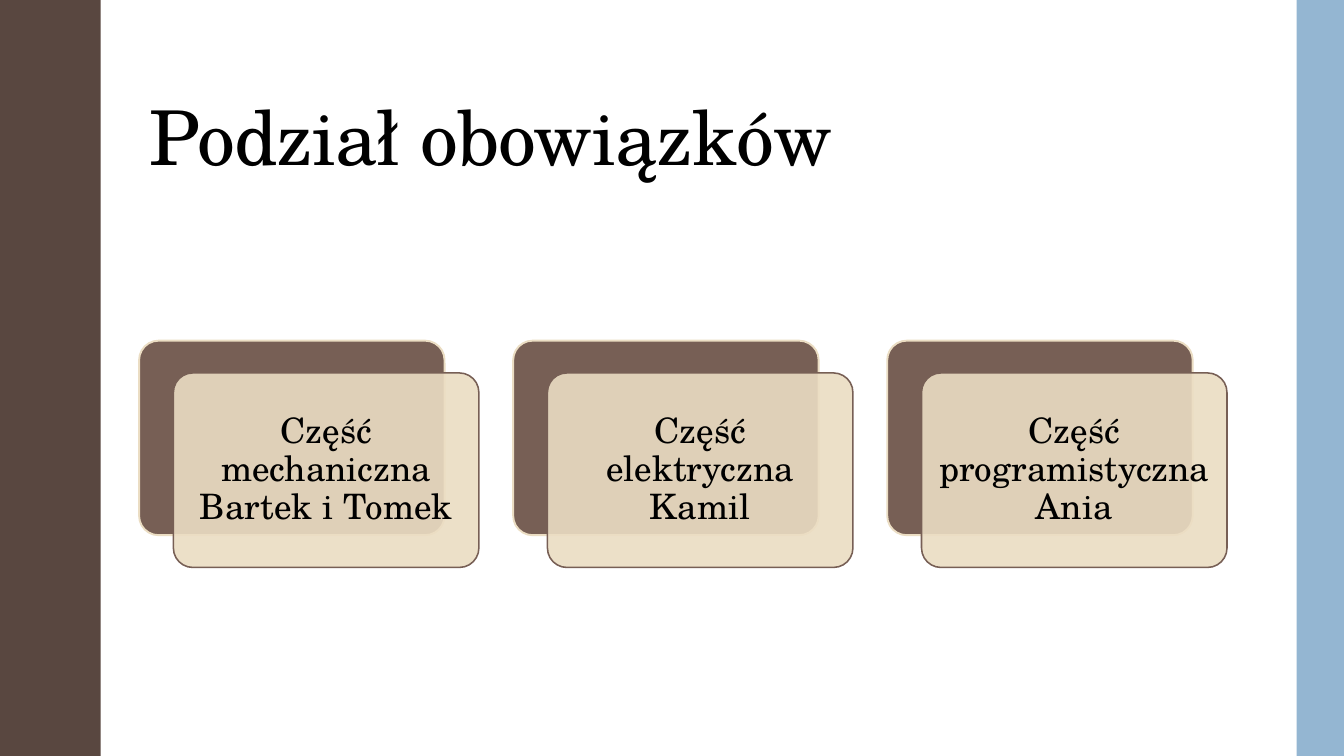
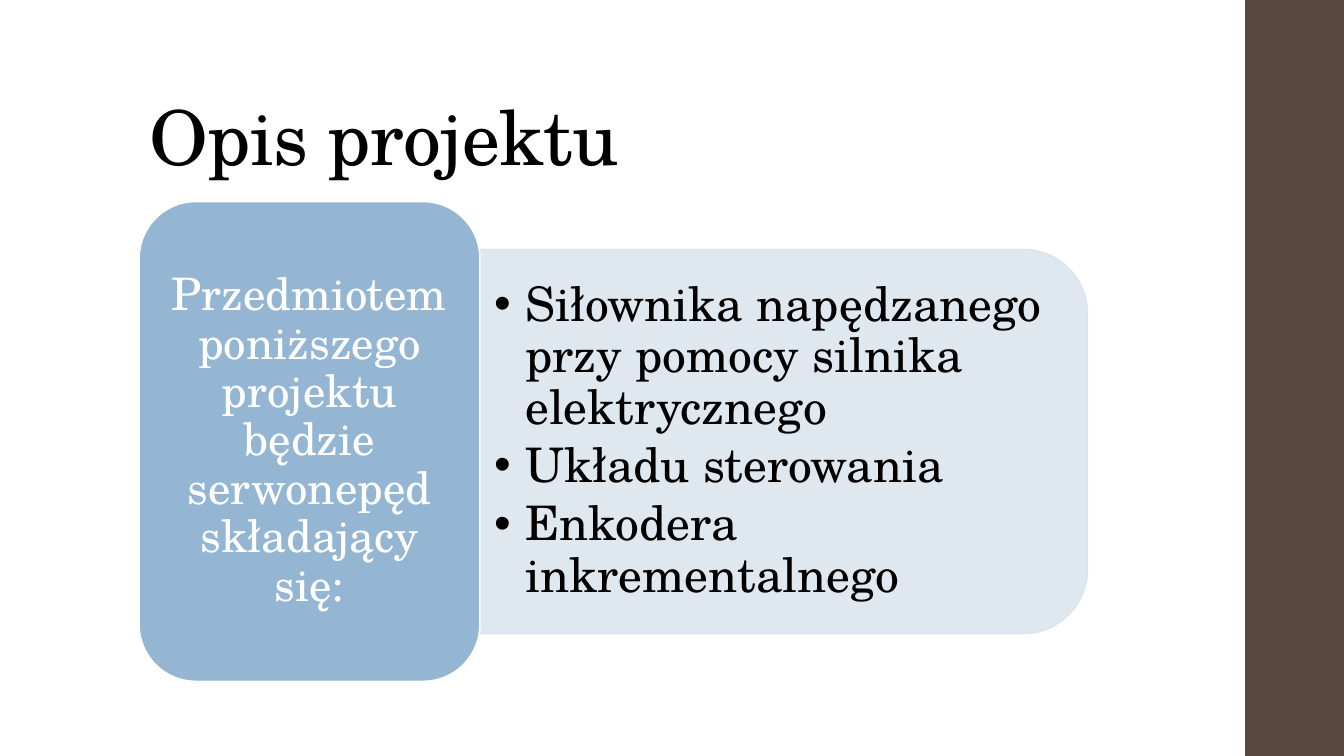
from pptx import Presentation
from pptx.dml.color import RGBColor
from pptx.enum.shapes import MSO_SHAPE as Shape
from pptx.enum.text import MSO_ANCHOR as Anchor, MSO_AUTO_SIZE as AutoSize, PP_ALIGN as Align
from pptx.oxml.ns import qn
from pptx.oxml.xmlchemy import OxmlElement
from pptx.util import Inches, Pt

FONT = "TeX Gyre Schola"
COLORS = {
    "black": "000000",
    "white": "FFFFFF",
    "dark_brown": "594740",
    "brown": "775F55",
    "cream": "EBDDC3",
    "blue": "94B6D2",
    "pale_blue": "DCE5EE",
}
SLIDE_WIDTH, SLIDE_HEIGHT = 13.33, 7.5
LEFT = 1.38

# Text formats: frame, paragraph and font attributes
TITLE = {"size": 54, "color": "black", "anchor": Anchor.BOTTOM,
         "align": Align.LEFT, "after": 0, "margins": (0.1, 0.05)}
CARD = {"size": 25, "color": "black", "anchor": Anchor.MIDDLE,
        "align": Align.CENTER, "after": 0, "margins": (0.1, 0.1)}
LEAD = {"size": 32, "color": "white", "anchor": Anchor.MIDDLE,
        "align": Align.CENTER, "after": 0, "margins": (0.13, 0.07)}
LIST = {"size": 34, "color": "black", "anchor": Anchor.MIDDLE,
        "align": Align.LEFT, "after": 5, "margins": (0.14, 0.07)}


def set_all(target, values):
    for name, value in values.items():
        setattr(target, name, value)


def rgb(name):
    return RGBColor.from_string(COLORS[name])


def place(shape, left, top, width, height):
    set_all(shape, {"left": Inches(left), "top": Inches(top),
                    "width": Inches(width), "height": Inches(height)})


def write(shape, lines, style):
    """Fill a shape with one paragraph per line, in one text format."""
    frame = shape.text_frame
    side, edge = (Inches(margin) for margin in style["margins"])
    set_all(frame, {"text": "\n".join(lines), "word_wrap": True,
                    "auto_size": AutoSize.NONE, "vertical_anchor": style["anchor"],
                    "margin_left": side, "margin_right": side,
                    "margin_top": edge, "margin_bottom": edge})
    for para in frame.paragraphs:
        set_all(para, {"alignment": style["align"], "line_spacing": 0.9,
                       "space_before": Pt(0), "space_after": Pt(style["after"])})
        for span in para.runs:
            set_all(span.font, {"name": FONT, "size": Pt(style["size"])})
            span.font.color.rgb = rgb(style["color"])


def add_box(page, kind, at, fill, line=None, weight=1.1, opacity=100):
    box = page.shapes.add_shape(kind, *(Inches(length) for length in at))
    box.shadow.inherit = False
    box.fill.solid()
    box.fill.fore_color.rgb = rgb(fill)
    if opacity < 100:
        alpha = OxmlElement("a:alpha")
        alpha.set("val", str(opacity * 1000))
        box.element.spPr.find(qn("a:solidFill"))[0].append(alpha)
    if line:
        box.line.color.rgb = rgb(line)
        box.line.width = Pt(weight)
    else:
        box.line.fill.background()
    return box


def add_page(deck, layout, title, bands):
    """Start a slide with its title and full-height side bands."""
    page = deck.slides.add_slide(deck.slide_layouts.get_by_name(layout))
    heading = page.shapes.title
    place(heading, LEFT, 0.4, 10.7, 1.45)
    write(heading, [title], TITLE)
    for span in heading.text_frame.paragraphs[0].runs:
        span.font._element.set("spc", "-50")
    for left, width, color in bands:
        add_box(page, Shape.RECTANGLE, (left, 0, width, SLIDE_HEIGHT), color)
    return page


def add_card(page, left, text):
    """Draw a brown plate with a translucent text card in front of it."""
    top, size = 3.38, (3.03, 1.93)
    plate = add_box(page, Shape.ROUNDED_RECTANGLE, (left, top, *size),
                    "brown", "cream", 1.35)
    card = add_box(page, Shape.ROUNDED_RECTANGLE, (left + 0.34, top + 0.32, *size),
                   "cream", "brown", opacity=90)
    for box in (plate, card):
        box.adjustments[0] = 0.1
    write(card, [text], CARD)


def add_bullets(page, at, items):
    body = page.placeholders[1]
    page.shapes.element.append(body.element)  # bring in front of the panel
    place(body, *at)
    write(body, items, LIST)
    for para in body.text_frame.paragraphs:
        props = para._p.get_or_add_pPr()
        props.set("marL", str(Inches(0.31)))
        props.set("indent", str(-Inches(0.31)))
        bullet = OxmlElement("a:buChar")
        bullet.set("char", "•")
        props.append(bullet)


def build_duties(deck):
    page = add_page(deck, "Title Only", "Podział obowiązków",
                    [(0, 1, "dark_brown"), (12.86, 0.47, "blue")])
    duties = ["Część mechaniczna\vBartek i Tomek",
              "Część elektryczna\vKamil",
              "Część programistyczna\vAnia"]
    for index, duty in enumerate(duties):
        add_card(page, LEFT + index * 3.71, duty)


def build_description(deck):
    page = add_page(deck, "Title and Content", "Opis projektu",
                    [(12.35, 0.98, "dark_brown")])
    # Panel turned so that its rounded corners face right
    panel = add_box(page, Shape.ROUND_2_SAME_RECTANGLE, (5.87, 1.37, 3.81, 6.02),
                    "pale_blue", "pale_blue", opacity=90)
    panel.rotation = 90
    add_bullets(page, (4.76, 2.66, 5.83, 3.44), [
        "Siłownika napędzanego przy pomocy silnika elektrycznego",
        "Układu sterowania",
        "Enkodera inkrementalnego",
    ])
    lead = add_box(page, Shape.ROUNDED_RECTANGLE, (LEFT, 2, 3.38, 4.76), "blue", "white")
    write(lead, ["Przedmiotem poniższego projektu będzie serwonepęd składający się:"], LEAD)


def main():
    deck = Presentation()
    set_all(deck, {"slide_width": Inches(SLIDE_WIDTH), "slide_height": Inches(SLIDE_HEIGHT)})
    build_duties(deck)
    build_description(deck)
    deck.save("out.pptx")


if __name__ == "__main__":
    main()
